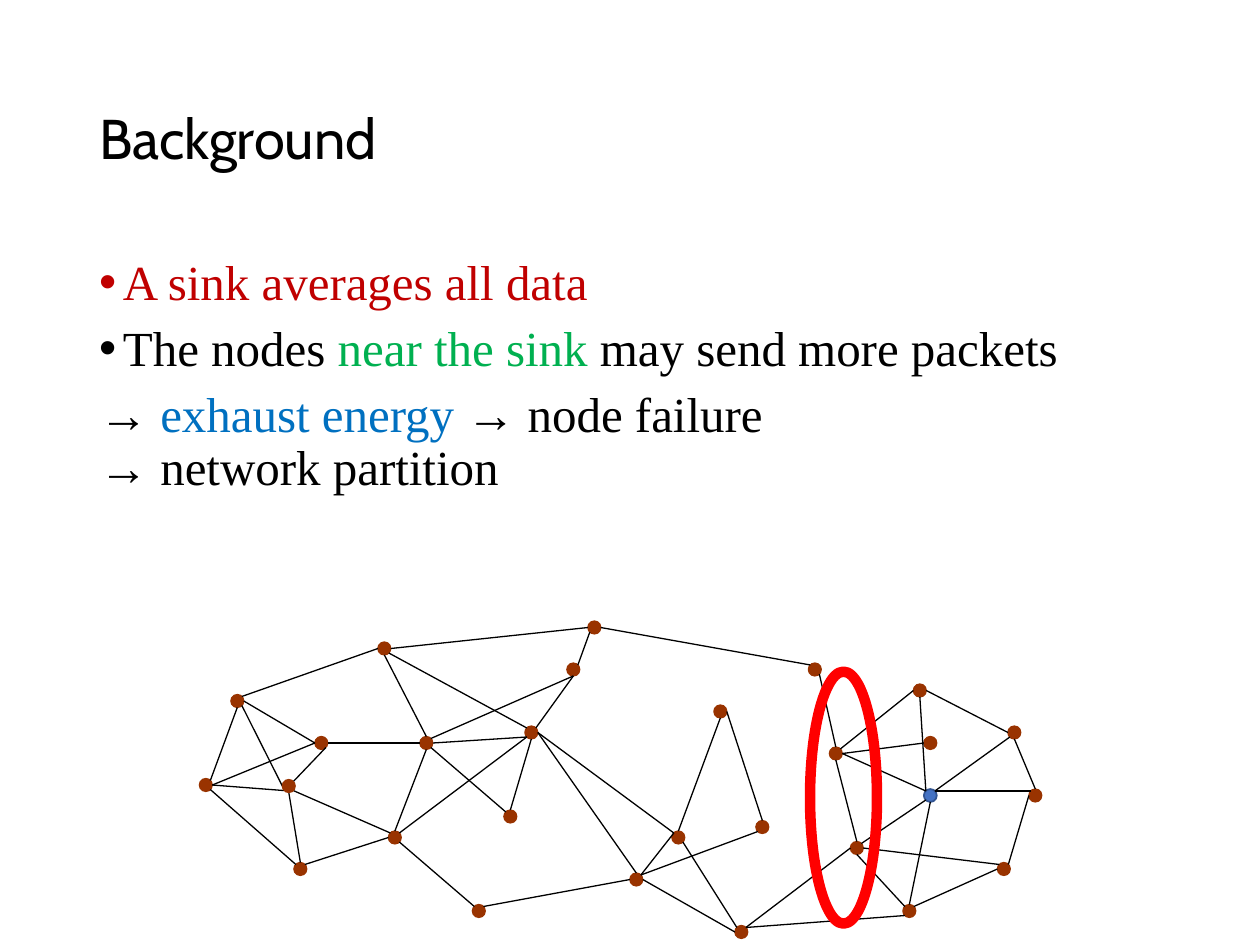
from lxml.etree import SubElement
from pptx import Presentation
from pptx.dml.color import RGBColor
from pptx.enum.shapes import MSO_CONNECTOR, MSO_SHAPE
from pptx.enum.text import MSO_ANCHOR, PP_ALIGN
from pptx.oxml.ns import qn
from pptx.util import Cm, Pt

COLORS = {
    "black": "000000", "red": "C00000", "green": "00B050", "blue": "0070C0",
    "node": "993300", "sink": "4472C4", "sink_edge": "325491", "ring": "FF0000",
}
GRID_LEFT, GRID_TOP, GRID_STEP = 4.02, 12.52, 2.54 / 12
DOT = 0.26
SINK, TOP_NODE = "W", "b"

NODES = {
    "A": (0, 15), "B": (3, 7), "C": (9, 23), "D": (11, 11), "E": (18, 20),
    "F": (17, 2), "G": (21, 11), "H": (26, 27), "I": (35, 4), "J": (37, 0),
    "K": (29, 18), "L": (31, 10), "M": (49, 8), "N": (58, 4), "O": (41, 24),
    "P": (45, 20), "Q": (53, 19), "R": (51, 29), "S": (62, 21), "T": (60, 12),
    "U": (68, 6), "V": (69, 11), "W": (69, 16), "X": (77, 10), "Y": (79, 16),
    "Z": (76, 23), "a": (67, 27), "b": (7.9, 15.1),
}
SITES = {
    "n": (0.5, 0), "ne": (0.85, 0.15), "e": (1, 0.5), "se": (0.85, 0.85),
    "s": (0.5, 1), "sw": (0.15, 0.85), "w": (0, 0.5), "nw": (0.15, 0.15),
}
LINKS = """
    A.ne-B.s B.ne-F.w F.e-J.w J.e-N.nw A.se-C.nw B.se-b.w B.e-D.w b.ne-D.se
    D.e-G.w G.n-F.s C.n-b.s C.ne-E.w E.nw-b.se E.n-G.s G.ne-I.s I.ne-J.sw
    G.e-L.sw I.s-L.ne G.se-K.nw L.s-K.n E.se-H.nw H.ne-O.w O.n-L.e O.ne-P.nw
    P.nw-L.e P.n-M.s M.e-Q.n P.se-R.nw R.w-O.e R.ne-S.w S.n-T.s T.n-N.se
    T.ne-U.w T.e-V.w T.e-W.nw W.sw-S.ne S.s-a.nw R.ne-a.sw W.s-a.n a.ne-Z.w
    Z.ne-Y.w W.ne-Y.nw Y.n-X.s W.ne-X.sw X.w-U.e A.e-D.w A.e-b.sw L.sw-E.ne
    U.s-W.nw F.se-L.nw S.e-Z.nw Q.sw-O.ne
""".split()
BODY = [
    (True, [[("A sink averages all data", "red")]]),
    (True, [[("The nodes ", "black"), ("near the sink ", "green"),
             ("may send more packets", "black")]]),
    (False, [[("→ ", "black"), ("exhaust energy ", "blue"),
              ("→ node failure", "black")],
             [("→ network partition", "black")]]),
]


def corner(node):
    col, row = NODES[node]
    return GRID_LEFT + col * GRID_STEP, GRID_TOP + row * GRID_STEP


def site(end):
    node, side = end.split(".")
    return [start + DOT * part for start, part in zip(corner(node), SITES[side])]


class Sketch:
    """Draws the text, dots and links of one slide in a shared style."""

    def __init__(self, slide):
        self.slide = slide

    def color(self, name):
        return RGBColor.from_string(COLORS[name])

    def text(self, left, top, width, height, paragraphs, font, size, space=0,
             anchor=MSO_ANCHOR.TOP):
        box = self.slide.shapes.add_textbox(Cm(left), Cm(top), Cm(width), Cm(height))
        frame = box.text_frame
        frame.word_wrap = True
        frame.vertical_anchor = anchor
        for index, (bulleted, lines) in enumerate(paragraphs):
            paragraph = frame.add_paragraph() if index else frame.paragraphs[0]
            paragraph.alignment = PP_ALIGN.LEFT
            paragraph.line_spacing = 0.9
            paragraph.space_before = Pt(space)
            if bulleted:
                self.bullet(paragraph)
            for number, line in enumerate(lines):
                if number:
                    paragraph.add_line_break()
                for words, color in line:
                    run = paragraph.add_run()
                    run.text = words
                    run.font.name = font
                    run.font.size = Pt(size)
                    run.font.color.rgb = self.color(color)

    def bullet(self, paragraph):
        properties = paragraph._p.get_or_add_pPr()
        properties.set("marL", str(Cm(0.48)))
        properties.set("indent", str(-Cm(0.48)))
        SubElement(properties, qn("a:buFont")).set("typeface", "Arial")
        SubElement(properties, qn("a:buChar")).set("char", "•")

    def ellipse(self, parent, left, top, width, height, fill, edge, weight):
        oval = parent.shapes.add_shape(
            MSO_SHAPE.OVAL, Cm(left), Cm(top), Cm(width), Cm(height))
        oval.shadow.inherit = False
        if fill:
            oval.fill.solid()
            oval.fill.fore_color.rgb = self.color(fill)
        else:
            oval.fill.background()
        oval.line.color.rgb = self.color(edge)
        oval.line.width = Pt(weight)

    def node(self, parent, name):
        style = ("sink", "sink_edge", 1) if name == SINK else ("node", "node", 0.75)
        self.ellipse(parent, *corner(name), DOT, DOT, *style)

    def link(self, parent, start, end):
        line = parent.shapes.add_connector(
            MSO_CONNECTOR.STRAIGHT, *map(Cm, site(start) + site(end)))
        line.line.color.rgb = self.color("black")
        line.line.width = Pt(0.75)
        SubElement(line._element.spPr, qn("a:effectLst"))


deck = Presentation()
deck.slide_width, deck.slide_height = Cm(25.4), Cm(19.05)
slide = deck.slides.add_slide(deck.slide_layouts[6])
sketch = Sketch(slide)

sketch.text(1.75, 1.02, 21.9, 3.68, [(False, [[("Background", "black")]])],
            "Cabin", 32, anchor=MSO_ANCHOR.MIDDLE)
sketch.text(1.75, 5.08, 21.9, 12.09, BODY, "Times New Roman", 28, space=7.5)

network = slide.shapes.add_group_shape()
for name in NODES:
    if name != TOP_NODE:
        sketch.node(network, name)
for pair in LINKS:
    sketch.link(network, *pair.split("-"))
sketch.node(slide, TOP_NODE)
sketch.ellipse(slide, 16.33, 13.54, 1.35, 5.08, None, "ring", 6)

deck.save("out.pptx")
